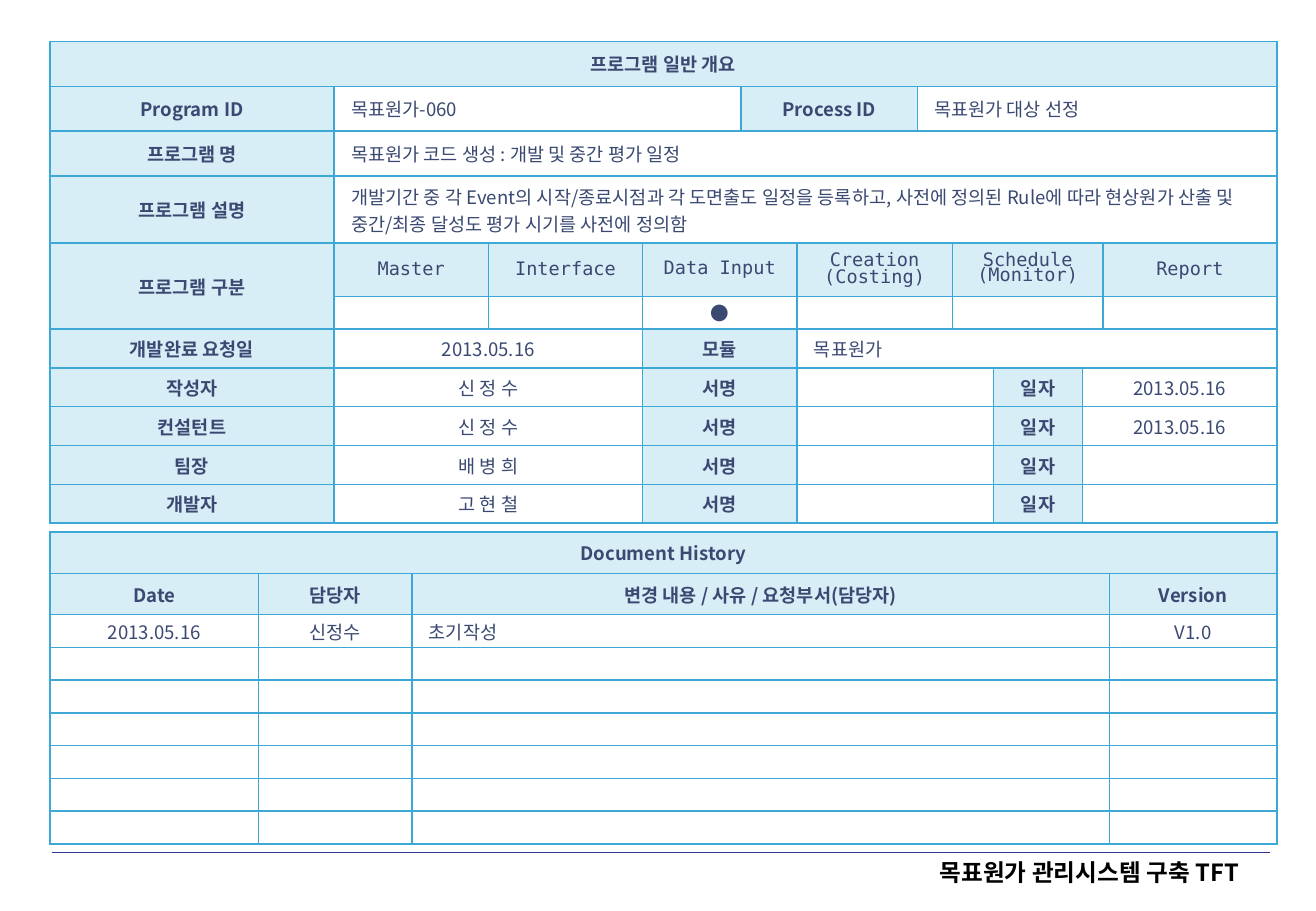
from lxml import etree
from pptx import Presentation
from pptx.dml.color import RGBColor
from pptx.enum.shapes import MSO_CONNECTOR
from pptx.enum.text import MSO_ANCHOR, PP_ALIGN
from pptx.oxml.ns import qn
from pptx.util import Inches, Pt

LINE = MSO_CONNECTOR.STRAIGHT
MID, TOP = MSO_ANCHOR.MIDDLE, MSO_ANCHOR.TOP
LEFT, CENTER = PP_ALIGN.LEFT, PP_ALIGN.CENTER
INK = RGBColor(0x3A, 0x49, 0x72)
PALE = RGBColor(0xD8, 0xEE, 0xF7)
EDGE = RGBColor(0x3D, 0xA8, 0xD5)
RULE = RGBColor(0x33, 0x33, 0x99)
BLACK = RGBColor(0, 0, 0)
SANS, MONO = "Noto Sans CJK KR", "DejaVu Sans Mono"
DATE = "2013.05.16"


class Sheet:
    """Holds the style and the current slide."""

    def __init__(self, deck):
        self.slide = deck.slides.add_slide(deck.slide_layouts[6])
        self.size = 11

    def text(self, para, words, size, color, bold=False, face=SANS):
        run = para.add_run()
        run.text = words
        font = run.font
        font.name, font.size, font.bold = face, Pt(size), bold
        font.color.rgb = color
        etree.SubElement(font._element, qn("a:ea"), typeface=face)

    def rule(self, left, right, y, color):
        line = self.slide.shapes.add_connector(
            LINE, Inches(left), Inches(y), Inches(right), Inches(y))
        line.line.color.rgb, line.line.width = color, Pt(1)
        etree.SubElement(line._element.spPr, qn("a:effectLst"))

    def label(self, words, left, top, width, height, size):
        box = self.slide.shapes.add_textbox(
            Inches(left), Inches(top), Inches(width), Inches(height))
        frame = box.text_frame
        frame.word_wrap, frame.vertical_anchor = True, MID
        frame.margin_left = frame.margin_right = 0
        frame.margin_top = frame.margin_bottom = 0
        para = frame.paragraphs[0]
        para.alignment = CENTER
        self.text(para, words, size, BLACK, True)

    def border(self, cell):
        props = cell._tc.get_or_add_tcPr()
        for spot, side in enumerate(("lnL", "lnR", "lnT", "lnB")):
            edge = etree.Element(qn("a:" + side), w=str(Pt(1)))
            fill = etree.SubElement(edge, qn("a:solidFill"))
            etree.SubElement(fill, qn("a:srgbClr"), val=str(EDGE))
            props.insert(spot, edge)

    def grid(self, left, top, cols, rows):
        table = self.slide.shapes.add_table(
            len(rows), len(cols), Inches(left), Inches(top),
            Inches(sum(cols)), Inches(sum(rows))).table
        table.first_row = table.horz_banding = False
        for col, width in zip(table.columns, cols):
            col.width = Inches(width)
        for row, height in zip(table.rows, rows):
            row.height = Inches(height)
        for cell in table.iter_cells():
            cell.margin_left = cell.margin_right = Inches(0.14)
            cell.margin_top = cell.margin_bottom = 0
            cell.fill.background()
            self.border(cell)
        return table

    def fill(self, cell, words, look, pad, gap, pitch, anchor):
        cell.margin_top = cell.margin_bottom = Inches(pad)
        cell.vertical_anchor = anchor
        if look in ("head", "mono"):
            cell.fill.solid()
            cell.fill.fore_color.rgb = PALE
        for i, part in enumerate(words.split("\n")):
            frame = cell.text_frame
            para = frame.add_paragraph() if i else frame.paragraphs[0]
            para.alignment = LEFT if look == "left" else CENTER
            if gap:
                para.space_before = Pt(gap)
            if pitch:
                para.line_spacing = pitch
            self.text(para, part, self.size, INK, look == "head",
                      MONO if look == "mono" else SANS)

    def table(self, left, top, cols, rows, cells, gap=0):
        grid = self.grid(left, top, cols, rows)
        for r, row in enumerate(cells):
            col = 0
            for words, look, wide, *more in row:
                tall, pad, pitch, anchor = more + [1, 0.03, None, MID][len(more):]
                cell = grid.cell(r, col)
                if wide > 1 or tall > 1:
                    cell.merge(grid.cell(r + tall - 1, col + wide - 1))
                if words:
                    self.fill(cell, words, look, pad, gap, pitch, anchor)
                col += wide
        for cell in grid.iter_cells():
            for para in cell.text_frame.paragraphs:
                etree.SubElement(para._p, qn("a:endParaRPr"),
                                 sz=str(self.size * 100))


def kind(words, wide, pitch):
    return (words, "mono", wide, 1, 0, pitch)


def sign(role, name, date):
    return [(role, "head", 1), (name, "mid", 2), ("서명", "head", 2),
            ("", "mid", 3), ("일자", "head", 1), (date, "mid", 2)]


def body(words, look="mid"):
    return (words, look, 1, 1, 0.03, None, TOP)


OUTLINE = [
    [("프로그램 일반 개요", "head", 11)],
    [("Program ID", "head", 1), ("목표원가-060", "left", 3),
     ("Process ID", "head", 2), ("목표원가 대상 선정", "left", 5)],
    [("프로그램 명", "head", 1),
     ("목표원가 코드 생성 : 개발 및 중간 평가 일정", "left", 10)],
    [("프로그램 설명", "head", 1),
     ("개발기간 중 각 Event의 시작/종료시점과 각 도면출도 일정을 등록하고, "
      "사전에 정의된 Rule에 따라 현상원가 산출 및 중간/최종 달성도 평가 시기를 "
      "사전에 정의함", "left", 10)],
    [("프로그램 구분", "head", 1, 2, 0), kind("Master", 1, 0.9),
     kind("Interface", 1, 0.9), kind("Data Input", 2, 0.8),
     kind("Creation\n(Costing)", 2, 0.8),
     kind("Schedule\n(Monitor)", 3, 0.7), kind("Report", 1, 0.9)],
    [("", "mid", 1), ("", "mid", 1), ("", "mid", 1), ("●", "mid", 2, 1, 0),
     ("", "mid", 2), ("", "mid", 3), ("", "mid", 1)],
    [("개발완료 요청일", "head", 1), (DATE, "mid", 2),
     ("모듈", "head", 2), ("목표원가", "left", 6)],
    sign("작성자", "신 정 수", DATE),
    sign("컨설턴트", "신 정 수", DATE),
    sign("팀장", "배 병 희", ""),
    sign("개발자", "고 현 철", ""),
]
HISTORY = [
    [("Document History", "head", 4)],
    [(words, "head", 1) for words in
     ("Date", "담당자", "변경 내용 / 사유 / 요청부서(담당자)", "Version")],
    [body(DATE), body("신정수"), body("초기작성", "left"), body("V1.0")],
]


def main():
    deck = Presentation()
    deck.slide_width, deck.slide_height = Inches(10.83), Inches(7.5)
    sheet = Sheet(deck)
    sheet.rule(0.43, 10.45, 7.02, RULE)
    sheet.label("목표원가 관리시스템 구축 TFT", 7.31, 7.06, 3.31, 0.24, 14)
    sheet.table(0.41, 0.34,
                [2.34, 1.27, 1.27, 0.81, 0.46, 0.99, 0.29, 0.34, 0.73, 0.17, 1.43],
                [0.37] * 3 + [0.55, 0.44, 0.27] + [0.32] * 5, OUTLINE)
    sheet.table(0.41, 4.38, [1.72, 1.26, 5.74, 1.38],
                [0.34] * 2 + [0.27] * 7, HISTORY, gap=2.2)
    deck.save("out.pptx")


if __name__ == "__main__":
    main()
